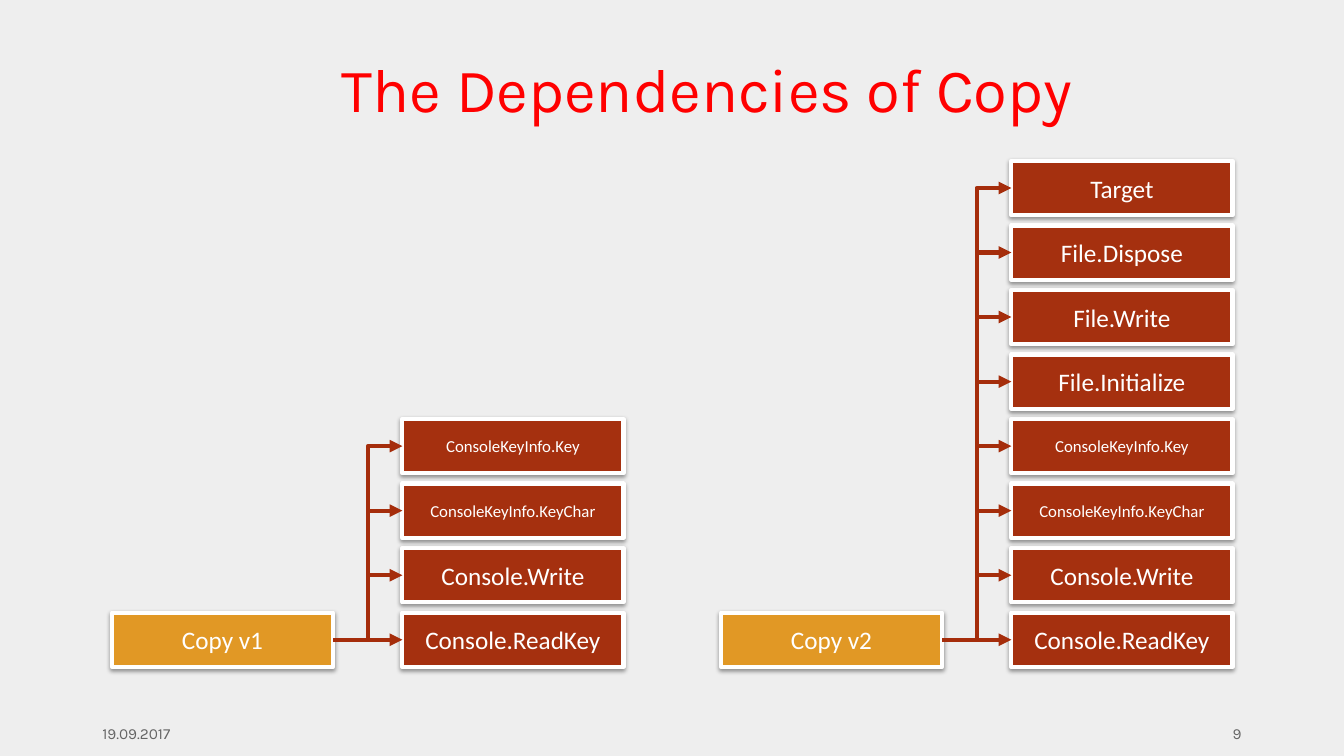
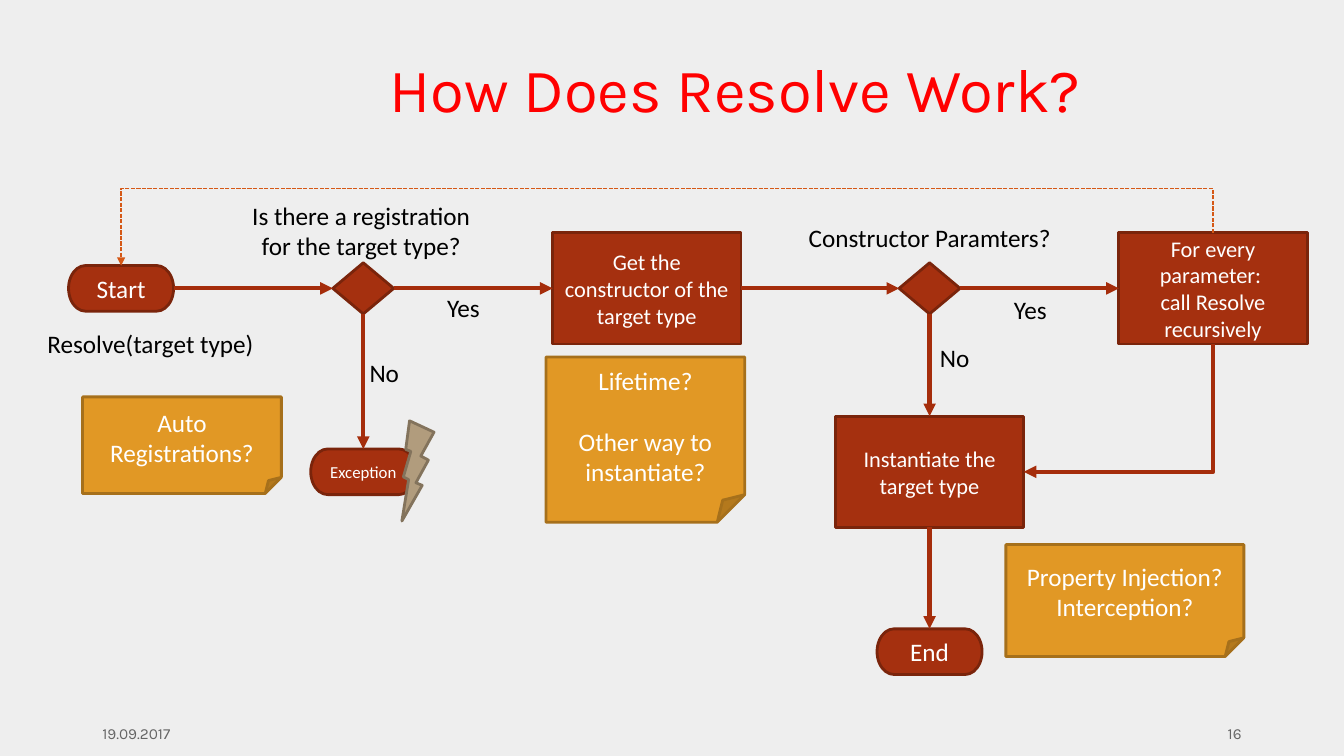
from lxml import etree
from pptx import Presentation
from pptx import util as u
from pptx.dml.color import RGBColor
from pptx.enum import dml, shapes, text
from pptx.oxml.ns import qn

Pt = u.Pt
KIND = shapes.MSO_SHAPE
WIRE = shapes.MSO_CONNECTOR
ALIGN = text.PP_ALIGN
MID = text.MSO_ANCHOR.MIDDLE
TOP, LEFT, BOTTOM, RIGHT = range(4)

RED, GOLD, WHITE, BLACK = "A5300F", "E19825", "FFFFFF", "000000"
RUST, BROWN, AMBER, GREY = "A52D0B", "7A240B", "A6701B", "656565"


def paint(part, hue):
    """Give a colour or a fill a solid hex colour."""
    if hasattr(part, "solid"):
        part.solid()
        part = part.fore_color
    part.rgb = RGBColor.from_string(hue)


def put(item, vals):
    """Set the attributes of an item from a dict."""
    for key, val in vals.items():
        setattr(item, key, val)


def node(host, tag, **vals):
    """Append an XML child with its attributes."""
    kid = etree.SubElement(host, qn(tag))
    for key, val in vals.items():
        kid.set(key, str(val))
    return kid


def write(shape, words, size, hue, font="Calibri", align=ALIGN.CENTER, gap=0, **frame):
    """Fill a shape with one paragraph per entry of words."""
    body = shape.text_frame
    put(body, {"word_wrap": True, **frame})
    for i, line in enumerate(words if isinstance(words, tuple) else (words,)):
        para = body.add_paragraph() if i else body.paragraphs[0]
        para.text = line
        put(para, {"alignment": align, "space_before": Pt(gap if i else 0)})
        for run in para.runs:
            put(run.font, {"size": Pt(size), "name": font})
            paint(run.font.color, hue)


def label(slide, box, words, size=18, hue=BLACK, **style):
    """Add a text box at left, top, width, height."""
    shape = slide.shapes.add_textbox(*map(Pt, box))
    write(shape, words, size, hue, **style)


def block(slide, kind, box, fill, edge, width=2, words="", size=18, gap=0):
    """Add a filled shape whose box is centre x, centre y, width, height."""
    x, y, w, h = box
    shape = slide.shapes.add_shape(kind, *map(Pt, (x - w / 2, y - h / 2, w, h)))
    shape.shadow.inherit = False
    paint(shape.fill, fill)
    paint(shape.line.fill, edge)
    shape.line.width = Pt(width)
    if words:
        write(shape, words, size, WHITE, gap=gap, vertical_anchor=MID)
    return shape


def shade(shape):
    """Cast a soft shadow below a shape."""
    fx = shape.element.spPr.find(qn("a:effectLst"))
    cast = node(fx, "a:outerShdw", blurRad=Pt(3.1), dist=Pt(1.6), dir=5400000, rotWithShape=0)
    node(node(cast, "a:srgbClr", val=BLACK), "a:alpha", val=38000)


def link(slide, start, out, end, into, kind=WIRE.STRAIGHT, hue=RUST, width=3, dash=None):
    """Join two shapes at their sites with an arrow."""
    wire = slide.shapes.add_connector(kind, 0, 0, 0, 0)
    wire.begin_connect(start, out)
    wire.end_connect(end, into)
    paint(wire.line.fill, hue)
    put(wire.line, {"width": Pt(width), "dash_style": dash})
    node(wire.line._get_or_add_ln(), "a:tailEnd", type="triangle")
    node(wire.element.spPr, "a:effectLst")
    return wire


def turn(wire, angle, flip, bend=None, preset="bentConnector3"):
    """Rotate an elbow by a quarter turn while its ends stay in place."""
    x, y, w, h = wire.left, wire.top, wire.width, wire.height
    put(wire, {"left": x + (w - h) // 2, "top": y + (h - w) // 2, "width": h, "height": w})
    frame = wire.element.spPr.find(qn("a:xfrm"))
    for key, val in {"rot": angle * 60000, "flipH": flip, "flipV": flip}.items():
        frame.set(key, str(val))
    geom = wire.element.spPr.find(qn("a:prstGeom"))
    geom.set("prst", preset)
    if bend is not None:
        node(geom.find(qn("a:avLst")), "a:gd", name="adj1", fmla=f"val {bend}")


def page(deck, title, left, number):
    """Add a slide with its title, date and number."""
    slide = deck.slides.add_slide(deck.slide_layouts[6])
    label(slide, (left, 29, 894 - left, 83), title, 44, "FF0000", font="Karla", margin_top=Pt(7.2))
    for x, words, side in ((66, "19.09.2017", ALIGN.LEFT), (678, number, ALIGN.RIGHT)):
        label(slide, (x, 514, 216, 15), words, 11, GREY, font="Karla", align=side)
    return slide


def tree(slide, x, y, root, leaves):
    """Stack leaves upwards beside a root whose left centre is x, y."""
    w, h, step, shift = 158, 38.8, 46.1, 207.4
    mid = x + w / 2
    base = block(slide, KIND.RECTANGLE, (mid, y, w, h), GOLD, WHITE, 3, root)
    shade(base)
    for i, name in enumerate(leaves):
        box = (mid + shift, y - i * step, w, h)
        leaf = block(slide, KIND.RECTANGLE, box, RED, WHITE, 3, name, 12 if len(name) > 15 else 18)
        shade(leaf)
        link(slide, base, RIGHT, leaf, LEFT, WIRE.ELBOW if i else WIRE.STRAIGHT)


def flow(slide, x, y):
    """Draw the resolve flow chart from the left end x of its axis y."""
    ask, get, test, each, low = 210.5, 413, 615, 817.5, 131
    sizes = {
        KIND.FLOWCHART_TERMINATOR: (75, 32.6),
        KIND.FLOWCHART_DECISION: (43.5, 36.5),
        KIND.RECTANGLE: (134.6, 79.5),
    }

    def step(kind, cx, cy, words="", size=16):
        """Add a red step of the standard size for its kind."""
        return block(slide, kind, (x + cx, y + cy, *sizes[kind]), RED, BROWN, 2, words, size)

    start = step(KIND.FLOWCHART_TERMINATOR, 37.5, 0, "Start", 18)
    known = step(KIND.FLOWCHART_DECISION, ask, 0)
    build = step(KIND.RECTANGLE, get, 0, "Get the constructor of the target type")
    needs = step(KIND.FLOWCHART_DECISION, test, 0)
    loop = step(KIND.RECTANGLE, each, 0, "For every parameter: \ncall Resolve recursively")
    make = step(KIND.RECTANGLE, test, low, "Instantiate the target type")
    done = step(KIND.FLOWCHART_TERMINATOR, test, 259.5, "End", 18)
    fail = step(KIND.FLOWCHART_TERMINATOR, ask, low, "Exception", 12)

    row = (start, known, build, needs, loop)
    for one, two in zip(row, row[1:]):
        link(slide, one, RIGHT, two, LEFT)
    for one, two in ((known, fail), (needs, make), (make, done)):
        link(slide, one, BOTTOM, two, TOP)
    turn(link(slide, loop, BOTTOM, make, RIGHT, WIRE.ELBOW), 90, 0, preset="bentConnector2")
    back = link(slide, loop, TOP, start, TOP, WIRE.ELBOW, "D55816", 1, dml.MSO_LINE.SQUARE_DOT)
    turn(back, 270, 1, -134500)

    bolt = block(slide, KIND.LIGHTNING_BOLT, (x + 248, y + 128.5, 38, 68), "B19C7D", "83735C")
    bolt.rotation = 345.6
    bolt.element.spPr.find(qn("a:xfrm")).set("flipH", "1")

    for cx, cy, w, h, words in (
        (58.5, 39.5, 163.5, 29, "Resolve(target type)"),
        (209, -41, 172, 51, "Is there a registration\nfor the target type?"),
        (test, -36, 189.5, 29, "Constructor Paramters?"),
        (282, 13.5, 38, 29, "Yes"),
        (687, 15.5, 38, 29, "Yes"),
        (225.5, 60.5, 36, 29, "No"),
        (633, 49.5, 36, 29, "No"),
    ):
        label(slide, (x + cx - w / 2, y + cy - h / 2, w, h), words, word_wrap=False)

    for cx, cy, w, h, words, gap in (
        (81, 112, 142, 69, "Auto Registrations?", 0),
        (412, 108, 142, 118, ("Lifetime?", "Other way to instantiate?"), 22),
        (754.5, 223, 170, 80, ("Property Injection?", "Interception?"), 0),
    ):
        box = (x + cx, y + cy, w, h)
        block(slide, KIND.FOLDED_CORNER, box, GOLD, AMBER, 2, words, gap=gap)


def main():
    """Build and save the deck."""
    deck = Presentation()
    put(deck, {"slide_width": Pt(960), "slide_height": Pt(540)})
    paint(deck.slide_master.background.fill, "EEEEEE")

    slide = page(deck, "The Dependencies of Copy", 117, "9")
    calls = ["Console.ReadKey", "Console.Write", "ConsoleKeyInfo.KeyChar", "ConsoleKeyInfo.Key"]
    files = ["File.Initialize", "File.Write", "File.Dispose", "Target"]
    tree(slide, 80, 457, "Copy v1", calls)
    tree(slide, 515, 457, "Copy v2", calls + files)

    slide = page(deck, "How Does Resolve Work?", 157, "16")
    flow(slide, 49, 206)
    deck.save("out.pptx")


if __name__ == "__main__":
    main()
